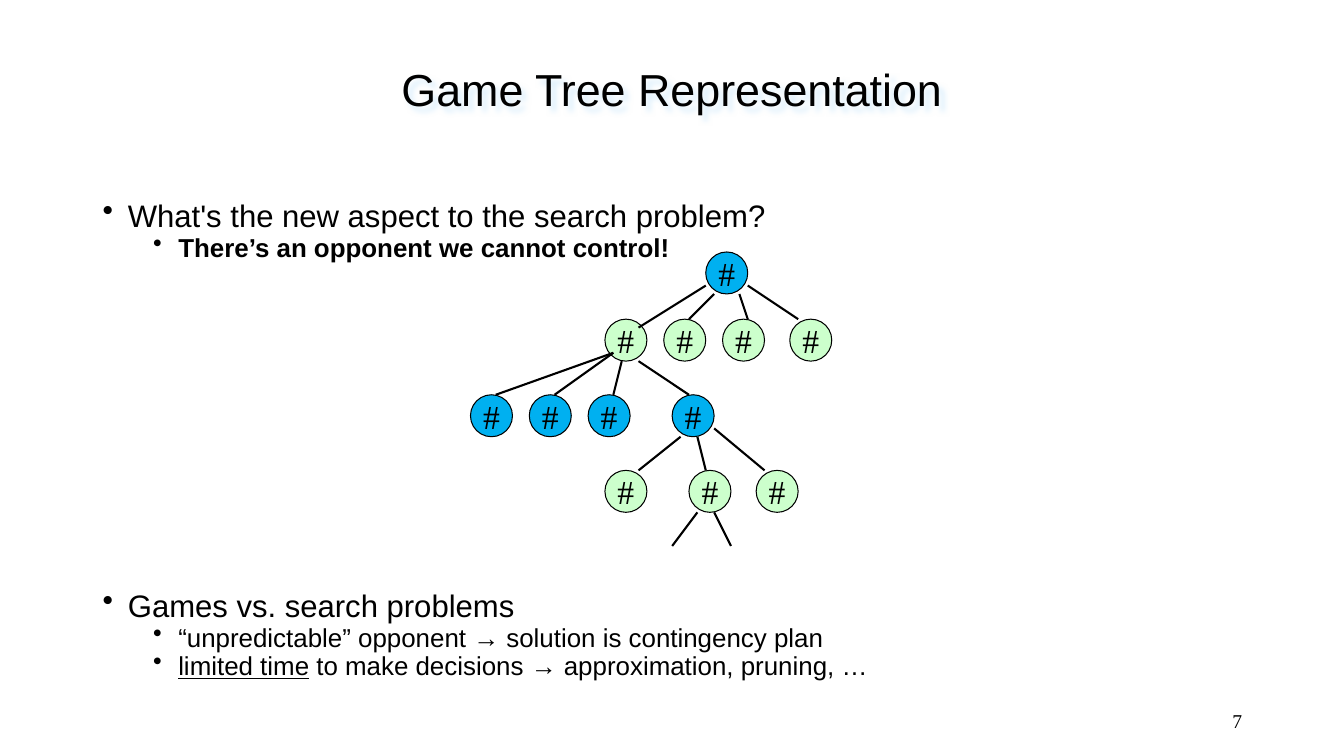
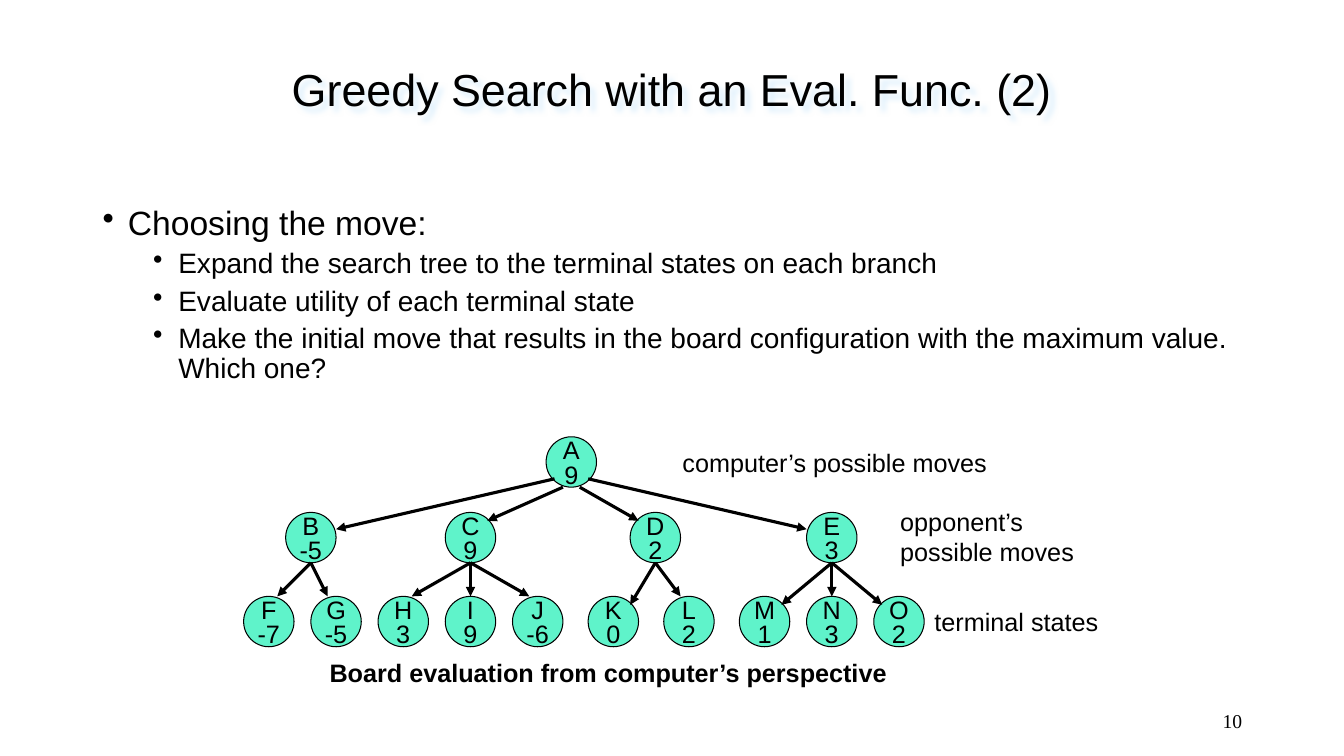
from dataclasses import dataclass

from lxml import etree
from pptx import Presentation
from pptx.dml.color import RGBColor
from pptx.enum.shapes import MSO_CONNECTOR as Connector, MSO_SHAPE as Shape
from pptx.enum.text import MSO_ANCHOR as Anchor, MSO_AUTO_SIZE as AutoSize, PP_ALIGN as Align
from pptx.oxml import parse_xml
from pptx.oxml.ns import nsdecls, qn
from pptx.util import Inches, Pt


@dataclass(frozen=True)
class Theme:
    ink: str = "000000"
    title_shadow: str = "DCEFFC"
    blue: str = "00B0F0"
    green: str = "CCFFCC"
    mint: str = "5FF3CA"
    sans: str = "Arial"
    serif: str = "Times New Roman"
    title_size: float = 32
    label_size: float = 18
    hash_size: float = 24
    number_size: float = 14
    outline: float = 0.75


THEME = Theme()
TITLE_ONLY = 5

# Content: tree positions are (column, row) on a grid of twelfths of an inch;
# each fan of branches is a start point and its end points.
GAME_TREE = {
    "node_size": 5,
    "levels": [
        (30, THEME.blue, [(84, "#")]),
        (38, THEME.green, [(72, "#"), (79, "#"), (86, "#"), (94, "#")]),
        (47, THEME.blue, [(56, "#"), (63, "#"), (70, "#"), (80, "#")]),
        (56, THEME.green, [(72, "#"), (82, "#"), (90, "#")]),
    ],
    "fans": [
        ((84, 34), [(76, 39)]), ((85, 35), [(82, 38)]),
        ((88, 35), [(89, 38)]), ((89, 34), [(95, 38)]),
        ((73, 42), [(59, 47), (66, 47)]),
        ((74, 43), [(73, 47)]), ((76, 43), [(82, 47)]),
        ((81, 52), [(76, 56)]), ((83, 52), [(84, 56)]), ((85, 51), [(91, 56)]),
        ((83, 61), [(80, 65)]), ((85, 61), [(87, 65)]),
    ],
    "text": {"font": THEME.serif, "size": THEME.hash_size},
    "branch": {"weight": 1.5, "arrow": False},
}
GREEDY_TREE = {
    "node_size": 6,
    "levels": [
        (52, THEME.mint, [(65, "A 9")]),
        (61, THEME.mint, [(34, "B -5"), (53, "C 9"), (75, "D 2"), (96, "E 3")]),
        (71, THEME.mint, [(29, "F -7"), (37, "G -5"), (45, "H 3"), (53, "I 9"),
                          (61, "J -6"), (70, "K 0"), (79, "L 2"), (88, "M 1"),
                          (96, "N 3"), (104, "O 2")]),
    ],
    "fans": [
        ((66, 57), [(40, 63)]), ((67, 58), [(58, 62)]),
        ((69, 58), [(76, 62)]), ((70, 57), [(96, 63)]),
        ((37, 67), [(33, 71), (39, 71)]),
        ((56, 67), [(56, 71), (49, 71), (63, 71)]),
        ((78, 67), [(75, 72), (81, 71)]),
        ((99, 67), [(99, 71), (93, 72), (105, 72)]),
    ],
    "text": {"font": THEME.sans, "size": THEME.label_size},
    "branch": {"weight": 2.25, "arrow": True},
}

# A bullet is (level, text or runs, extra format); a run is (text, underlined).
SLIDES = [
    {
        "title": "Game Tree Representation",
        "number": "7",
        "sizes": (22.2, 18.5),
        "spacing": 0.7,
        "bullet_blocks": [
            ((0.92, 2, 11.5, 0.8), [
                (0, "What's the new aspect to the search problem?", {}),
                (1, "There’s an opponent we cannot control!", {"bold": True}),
            ]),
            ((0.92, 5.87, 11.5, 1), [
                (0, "Games vs. search problems", {}),
                (1, "“unpredictable” opponent → solution is contingency plan", {}),
                (1, [("limited time", True),
                     (" to make decisions → approximation, pruning, …", False)], {}),
            ]),
        ],
        "tree": GAME_TREE,
        "labels": [],
    },
    {
        "title": "Greedy Search with an Eval. Func. (2)",
        "number": "10",
        "sizes": (24, 20),
        "spacing": 0.9,
        "bullet_blocks": [
            ((0.92, 2, 11.5, 2.2), [
                (0, "Choosing the move:", {}),
                (1, "Expand the search tree to the terminal states on each branch", {}),
                (1, "Evaluate utility of each terminal state", {}),
                (1, "Make the initial move that results in the board configuration "
                    "with the maximum value. Which one?", {}),
            ]),
        ],
        "tree": GREEDY_TREE,
        "labels": [
            ((6.67, 4.39, 3.25, 0.4), ["computer’s possible moves"], False),
            ((8.83, 4.97, 1.92, 0.7), ["opponent’s", "possible moves"], False),
            ((9.17, 5.97, 1.83, 0.4), ["terminal states"], False),
            ((3.17, 6.47, 6.08, 0.4), ["Board evaluation from computer’s perspective"], True),
        ],
    },
]


def grid(units):
    return Inches(units / 12)


def put_text(frame, text, size, font=THEME.sans, bold=False, align=Align.LEFT,
             spacing=None, before=0, bullet_level=None):
    """Add one paragraph, using the empty first one if it is still free."""
    first = frame.paragraphs[0]
    is_first = not first.runs
    paragraph = first if is_first else frame.add_paragraph()
    if bullet_level is not None:
        paragraph.level = bullet_level
        properties = paragraph._p.get_or_add_pPr()
        properties.set("marL", str(Inches(0.25 + 0.5 * bullet_level)))
        properties.set("indent", str(Inches(-0.25)))
        etree.SubElement(properties, qn("a:buChar")).set("char", "•")
    paragraph.alignment = align
    paragraph.space_before = Pt(0 if is_first else before)
    if spacing:
        paragraph.line_spacing = spacing
    for words, underlined in [(text, False)] if isinstance(text, str) else text:
        run = paragraph.add_run()
        run.text = words
        run.font.name, run.font.size, run.font.bold = font, Pt(size), bold
        run.font.underline = underlined
        run.font.color.rgb = RGBColor.from_string(THEME.ink)


def add_box(slide, place, wrap=True, anchor=Anchor.TOP):
    frame = slide.shapes.add_textbox(*map(Inches, place)).text_frame
    frame.word_wrap = wrap
    frame.vertical_anchor = anchor
    return frame


def add_title(slide, text):
    title = slide.shapes.title
    title.left, title.top, title.width, title.height = map(Inches, (2.33, 0.42, 8.67, 0.92))
    frame = title.text_frame
    frame.word_wrap = False
    frame.auto_size = AutoSize.NONE
    frame.vertical_anchor = Anchor.MIDDLE
    put_text(frame, text, THEME.title_size, align=Align.CENTER)
    title._element.spPr.append(parse_xml(
        f'<a:effectLst {nsdecls("a")}><a:outerShdw blurRad="50800" dist="50800" '
        f'dir="2700000" algn="tl" rotWithShape="0"><a:srgbClr val="{THEME.title_shadow}"/>'
        '</a:outerShdw></a:effectLst>'))


def add_node(slide, column, row, size, fill, text, text_format):
    node = slide.shapes.add_shape(Shape.OVAL, *map(grid, (column, row, size, size)))
    node.shadow.inherit = False
    node.fill.solid()
    node.fill.fore_color.rgb = RGBColor.from_string(fill)
    node.line.color.rgb = RGBColor.from_string(THEME.ink)
    node.line.width = Pt(THEME.outline)
    frame = node.text_frame
    frame.word_wrap = False
    frame.vertical_anchor = Anchor.MIDDLE
    frame.margin_left = frame.margin_right = frame.margin_top = frame.margin_bottom = 0
    for index, line in enumerate(text.split()):
        put_text(frame, line, align=Align.CENTER, spacing=0.8 if index else None, **text_format)


def add_branch(slide, start, end, weight, arrow):
    branch = slide.shapes.add_connector(Connector.STRAIGHT, *map(grid, start + end))
    branch.line.color.rgb = RGBColor.from_string(THEME.ink)
    branch.line.width = Pt(weight)
    if arrow:
        etree.SubElement(branch.line._get_or_add_ln(), qn("a:tailEnd")).set("type", "triangle")
    etree.SubElement(branch._element.spPr, qn("a:effectLst"))


def add_tree(slide, tree):
    for row, fill, nodes in tree["levels"]:
        for column, text in nodes:
            add_node(slide, column, row, tree["node_size"], fill, text, tree["text"])
    for start, ends in tree["fans"]:
        for end in ends:
            add_branch(slide, start, end, **tree["branch"])


def build_slide(deck, content):
    slide = deck.slides.add_slide(deck.slide_layouts[TITLE_ONLY])
    add_title(slide, content["title"])

    # Bullets
    for place, bullets in content["bullet_blocks"]:
        frame = add_box(slide, place)
        for level, text, extra in bullets:
            put_text(frame, text, content["sizes"][level], spacing=content["spacing"],
                     before=(10, 5)[level], bullet_level=level, **extra)

    # Tree and its labels
    add_tree(slide, content["tree"])
    for place, lines, bold in content["labels"]:
        frame = add_box(slide, place, wrap=False)
        for line in lines:
            put_text(frame, line, THEME.label_size, bold=bold)

    # Slide number
    put_text(add_box(slide, (9.42, 6.95, 3, 0.4), anchor=Anchor.MIDDLE), content["number"],
             THEME.number_size, font=THEME.serif, align=Align.RIGHT)


def main():
    deck = Presentation()
    deck.slide_width, deck.slide_height = Inches(13.33), Inches(7.5)
    for content in SLIDES:
        build_slide(deck, content)
    deck.save("out.pptx")


if __name__ == "__main__":
    main()
